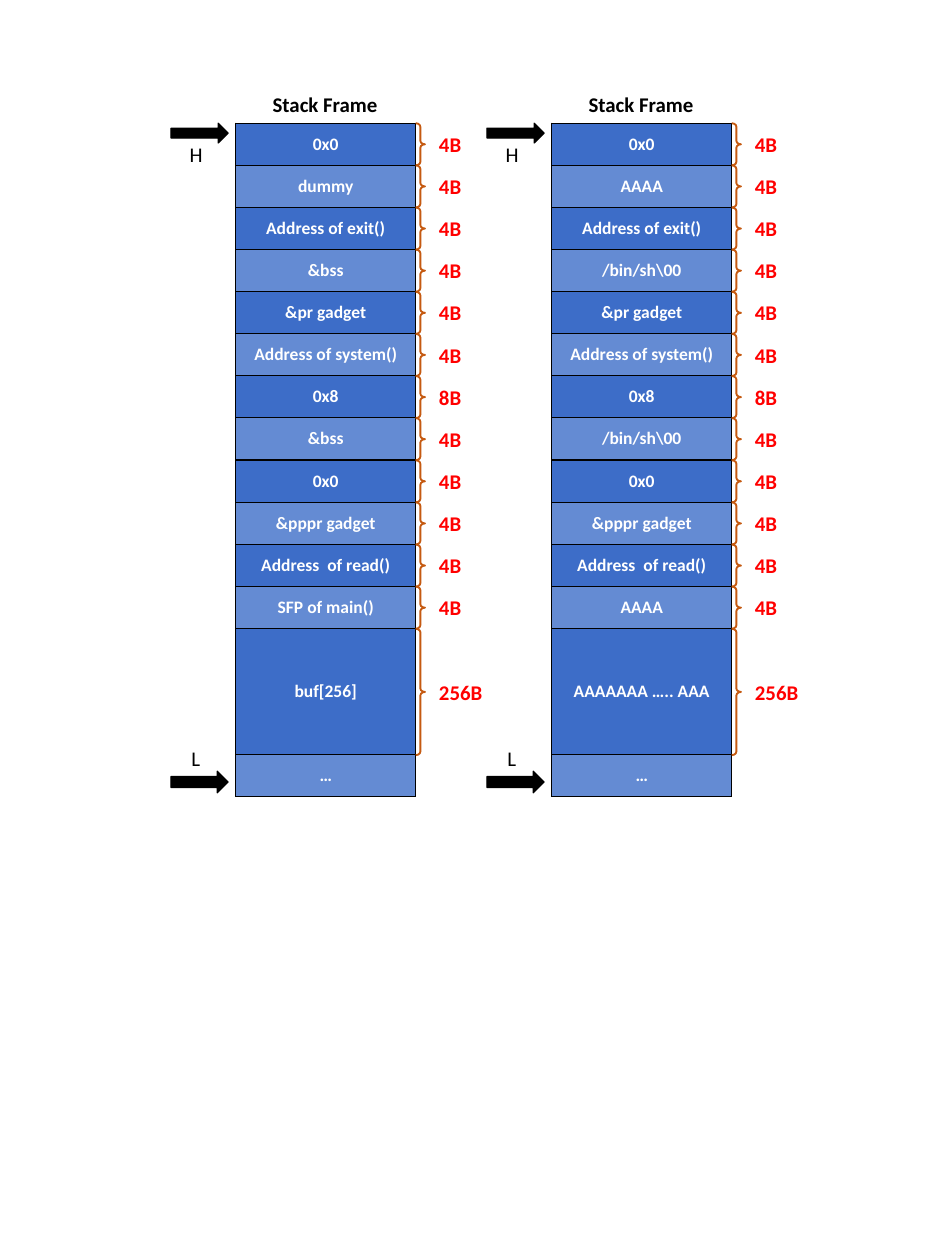
from lxml.etree import SubElement as Sub
from pptx import Presentation
from pptx.dml.color import RGBColor as Rgb
from pptx.enum.shapes import MSO_SHAPE as Form
from pptx.enum.text import MSO_ANCHOR as Anchor, MSO_AUTO_SIZE as Auto, PP_ALIGN as Align
from pptx.oxml.ns import qn
from pptx.util import Pt

SIZES = ["4B"] * 6 + ["8B"] + ["4B"] * 5 + ["256B"]
SPANS = [1] * 12 + [3, 1]
STACKS = [
    ["0x0", "dummy", "Address of exit()", "&bss", "&pr gadget",
     "Address of system()", "0x8", "&bss", "0x0", "&pppr gadget",
     "Address  of read()", "SFP of main()", "buf[256]", "…"],
    ["0x0", "AAAA", "Address of exit()", "/bin/sh\\00", "&pr gadget",
     "Address of system()", "0x8", "/bin/sh\\00", "0x0", "&pppr gadget",
     "Address  of read()", "AAAA", "AAAAAAA ….. AAA", "…"],
]
MARKS = [("H", 0, 15.8, -43.9, 11.5, 25.2), ("L", 518.4, 17.3, -42.5, 494, 21.6)]
BLUES = ["3D6DC8", "648BD3"]
BLACK, WHITE, RED, RUST = "000000", "FFFFFF", "FF0000", "C55A11"
LEFT, TOP, STEP = 188.6, 98.6, 252.8
WIDE, ROW, HIGH = 144, 33.7, 27.4


def paint(item, color):
    item.solid()
    item.fore_color.rgb = Rgb.from_string(color)


def style(para, size, color, bold):
    font = para.font
    font.name, font.size, font.bold = "Calibri", Pt(size), bold
    font.color.rgb = Rgb.from_string(color)


def label(group, text, x, y, w, color=BLACK, bold=True, wrap=True):
    frame = group.shapes.add_textbox(Pt(x), Pt(y), Pt(w), Pt(HIGH)).text_frame
    frame.word_wrap = wrap
    frame.auto_size = Auto.SHAPE_TO_FIT_TEXT
    frame.text = text
    style(frame.paragraphs[0], 16.7, color, bold)


def shape(group, form, x, y, w, h, color, width):
    item = group.shapes.add_shape(form, Pt(x), Pt(y), Pt(w), Pt(h))
    item.shadow.inherit = False
    paint(item.line.fill, color)
    item.line.width = Pt(width)
    return item


def border(cell):
    props = cell._tc.get_or_add_tcPr()
    for side in ("lnL", "lnR", "lnT", "lnB"):
        line = Sub(props, qn(f"a:{side}"), w=str(Pt(1)))
        Sub(Sub(line, qn("a:solidFill")), qn("a:srgbClr"), val=BLACK)


def stack(slide, names, x):
    table = slide.shapes.add_table(
        len(names), 1, Pt(x), Pt(TOP), Pt(WIDE), Pt(ROW * sum(SPANS))).table
    table.first_row = table.horz_banding = False
    for i, (name, span) in enumerate(zip(names, SPANS)):
        table.rows[i].height = Pt(ROW * span)
        cell = table.cell(i, 0)
        border(cell)
        paint(cell.fill, BLUES[i % 2])
        cell.vertical_anchor = Anchor.MIDDLE
        cell.margin_left = cell.margin_right = Pt(6)
        cell.margin_top = cell.margin_bottom = Pt(3)
        cell.text = name
        para = cell.text_frame.paragraphs[0]
        para.alignment = Align.CENTER
        style(para, 14, WHITE, True)


def notes(slide, x):
    group = slide.shapes.add_group_shape()
    label(group, "Stack Frame", x + 22.4, TOP - 28.8, 99.4)
    for name, drop, tall, dx, dy, w in MARKS:
        arrow = shape(group, Form.RIGHT_ARROW, x - 51.8, TOP + drop, 45.7, tall, BLACK, 1)
        paint(arrow.fill, BLACK)
        label(group, name, x + dx, TOP + dy, w, bold=False, wrap=False)
    y = TOP
    for size, span in zip(SIZES, SPANS):
        tall = ROW * span
        brace = shape(group, Form.RIGHT_BRACE, x + WIDE, y, 7.4, tall, RUST, 1.5)
        brace.fill.background()
        brace.adjustments[0] = 0.38
        label(group, size, x + 155.5, y + (tall - HIGH) / 2,
              40.3 if span == 1 else 54.7, RED)
        y += tall


def main():
    deck = Presentation()
    deck.slide_width, deck.slide_height = Pt(756), Pt(1008)
    slide = deck.slides.add_slide(deck.slide_layouts[6])
    for i, names in enumerate(STACKS):
        x = LEFT + i * STEP
        stack(slide, names, x)
        notes(slide, x)
    deck.save("out.pptx")


if __name__ == "__main__":
    main()
